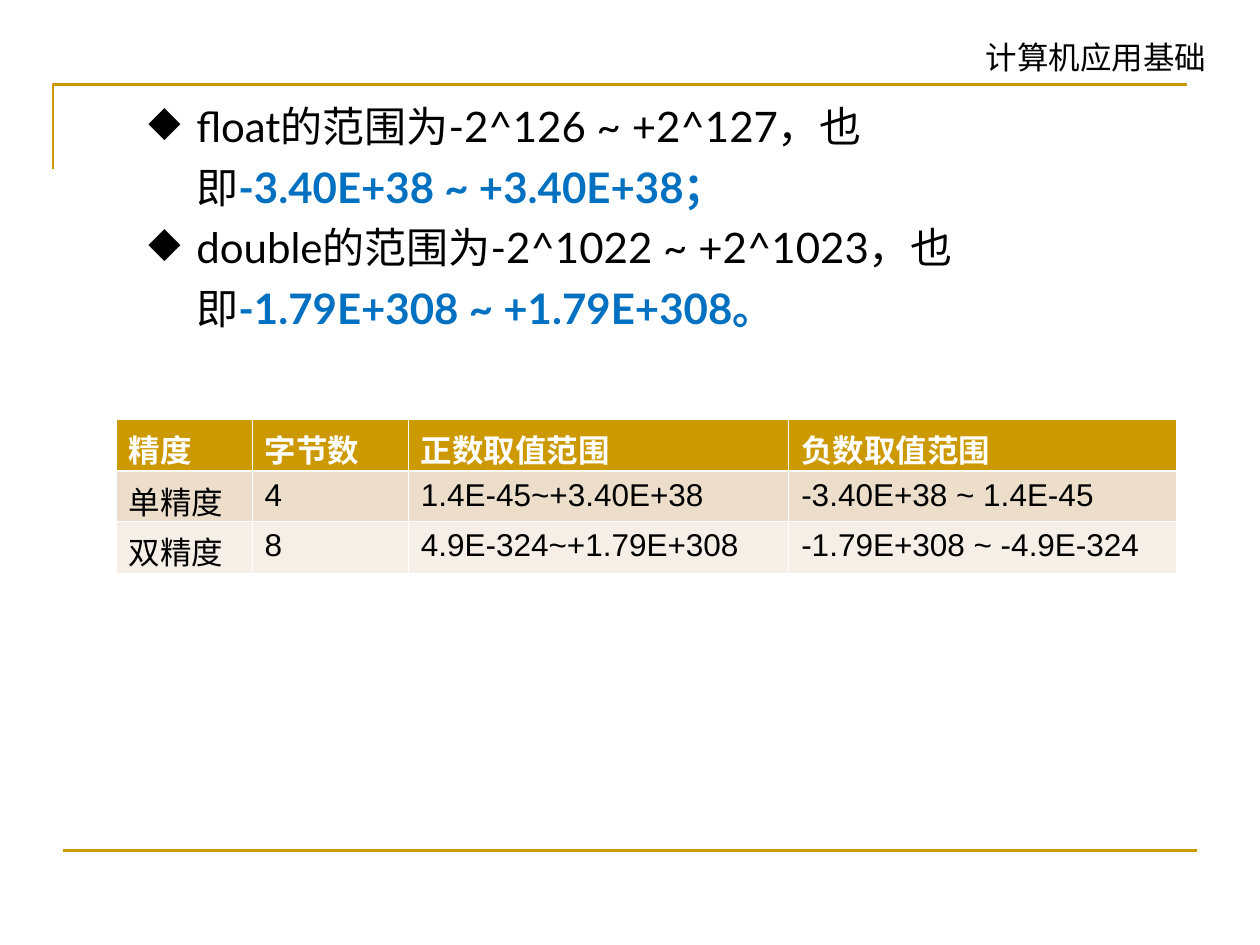
from lxml.etree import SubElement
from pptx import Presentation
from pptx.dml.color import RGBColor
from pptx.enum.shapes import MSO_CONNECTOR
from pptx.enum.text import PP_ALIGN
from pptx.oxml.ns import qn
from pptx.util import Inches, Pt

GOLD = RGBColor(0xCC, 0x99, 0x00)
BLACK = RGBColor(0x00, 0x00, 0x00)
WHITE = RGBColor(0xFF, 0xFF, 0xFF)
BLUE = RGBColor(0x00, 0x70, 0xC0)
ROW_FILLS = [GOLD, RGBColor(0xEC, 0xDE, 0xCB), RGBColor(0xF6, 0xEF, 0xE7)]

RANGES = [
    ("float的范围为-2^126 ~ +2^127，也即", "-3.40E+38 ~ +3.40E+38；"),
    ("double的范围为-2^1022 ~ +2^1023，也即", "-1.79E+308 ~ +1.79E+308。"),
]
COLUMN_WIDTHS = [1.08, 1.24, 3.02, 3.08]
ROW_HEIGHTS = [0.41, 0.4, 0.41]
PRECISION_ROWS = [
    ["精度", "字节数", "正数取值范围", "负数取值范围"],
    ["单精度", "4", "1.4E-45~+3.40E+38", "-3.40E+38 ~ 1.4E-45"],
    ["双精度", "8", "4.9E-324~+1.79E+308", "-1.79E+308 ~ -4.9E-324"],
]
THIN, THICK = 0.45, 1.47


def set_font(font, name, size, color, bold=False):
    font.name = name
    font.size = Pt(size)
    font.color.rgb = color
    font.bold = bold


def add_text_frame(slide, left, top, width, height):
    box = slide.shapes.add_textbox(Inches(left), Inches(top), Inches(width), Inches(height))
    box.text_frame.word_wrap = True
    return box.text_frame


def add_corner_rule(slide, left, top, width, height):
    builder = slide.shapes.build_freeform(Inches(left), Inches(top + height))
    builder.add_line_segments(
        [(Inches(left), Inches(top)), (Inches(left + width), Inches(top))], close=False)
    corner = builder.convert_to_shape()
    corner.shadow.inherit = False
    corner.fill.background()
    corner.line.color.rgb = GOLD
    corner.line.width = Pt(1.5)


def add_footer_rule(slide, left, top, width):
    rule = slide.shapes.add_connector(
        MSO_CONNECTOR.STRAIGHT, Inches(left), Inches(top), Inches(left + width), Inches(top))
    rule.line.color.rgb = GOLD
    rule.line.width = Pt(1.5)
    SubElement(rule._element.spPr, qn("a:effectLst"))


def add_course_name(slide, left, top, width, height):
    paragraph = add_text_frame(slide, left, top, width, height).paragraphs[0]
    paragraph.text = "计算机应用基础"
    paragraph.alignment = PP_ALIGN.RIGHT
    set_font(paragraph.font, "Lato", 18, BLACK)


def add_bullet(paragraph, indent, hanging):
    properties = paragraph._p.get_or_add_pPr()
    properties.set("marL", str(Inches(indent)))
    properties.set("indent", str(-Inches(hanging)))
    color = SubElement(properties, qn("a:buClr"))
    SubElement(color, qn("a:srgbClr"), val=str(BLACK))
    SubElement(properties, qn("a:buChar"), char="◆")


def add_range_list(slide, left, top, width, height):
    frame = add_text_frame(slide, left, top, width, height)
    for index, (description, value) in enumerate(RANGES):
        paragraph = frame.add_paragraph() if index else frame.paragraphs[0]
        paragraph.level = 1
        add_bullet(paragraph, 0.88, 0.38)
        paragraph.line_spacing = 1.2
        for text, color, bold in [(description, BLACK, False), (value, BLUE, True)]:
            run = paragraph.add_run()
            run.text = text
            set_font(run.font, "Lato", 24, color, bold)


def set_borders(cell, widths):
    properties = cell._tc.get_or_add_tcPr()
    for side, width in widths.items():
        line = SubElement(properties, qn(f"a:ln{side}"), w=str(Pt(width)))
        fill = SubElement(line, qn("a:solidFill"))
        SubElement(fill, qn("a:srgbClr"), val=str(WHITE))


def add_precision_table(slide, left, top):
    table = slide.shapes.add_table(
        len(ROW_HEIGHTS), len(COLUMN_WIDTHS), Inches(left), Inches(top),
        Inches(sum(COLUMN_WIDTHS)), Inches(sum(ROW_HEIGHTS))).table
    for column, width in zip(table.columns, COLUMN_WIDTHS):
        column.width = Inches(width)
    for index, (row, height) in enumerate(zip(table.rows, ROW_HEIGHTS)):
        row.height = Inches(height)
        is_header = index == 0
        for cell, text in zip(row.cells, PRECISION_ROWS[index]):
            # The heavier line separates the header from the body
            set_borders(cell, {"L": THIN, "R": THIN,
                               "T": THICK if index == 1 else THIN,
                               "B": THICK if is_header else THIN})
            cell.fill.solid()
            cell.fill.fore_color.rgb = ROW_FILLS[index]
            cell.text = text
            set_font(cell.text_frame.paragraphs[0].font, "Arial", 18,
                     WHITE if is_header else BLACK, is_header)


def main():
    presentation = Presentation()
    presentation.slide_width = Inches(10)
    presentation.slide_height = Inches(7.5)
    slide = presentation.slides.add_slide(presentation.slide_layouts[6])

    # Page frame
    add_corner_rule(slide, 0.42, 0.67, 9, 0.67)
    add_footer_rule(slide, 0.5, 6.75, 9)
    add_course_name(slide, 6.17, 0.25, 3.5, 0.4)

    # Content
    add_range_list(slide, 0.58, 0.67, 7.83, 2.02)
    add_precision_table(slide, 0.92, 3.33)
    presentation.save("out.pptx")


if __name__ == "__main__":
    main()
